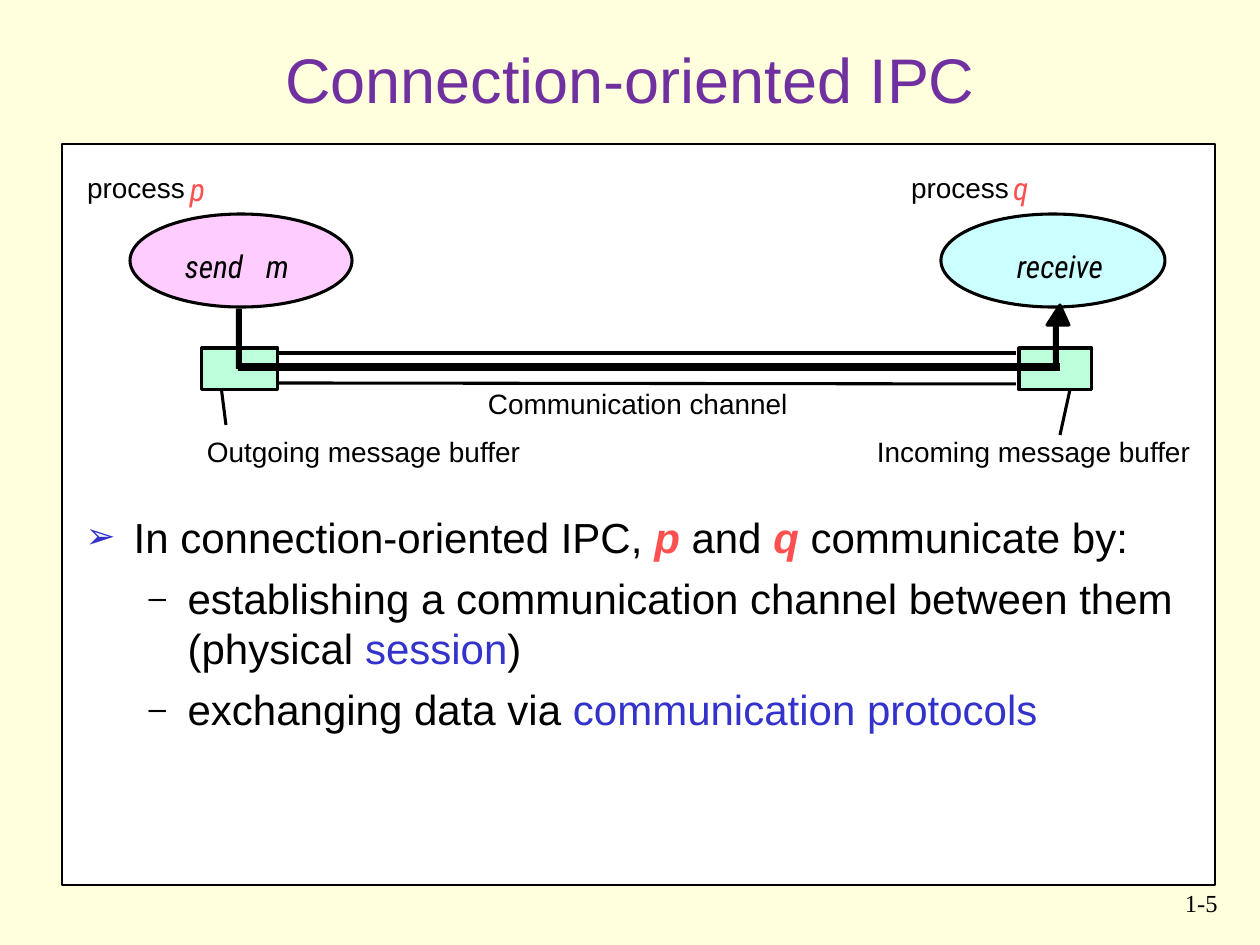
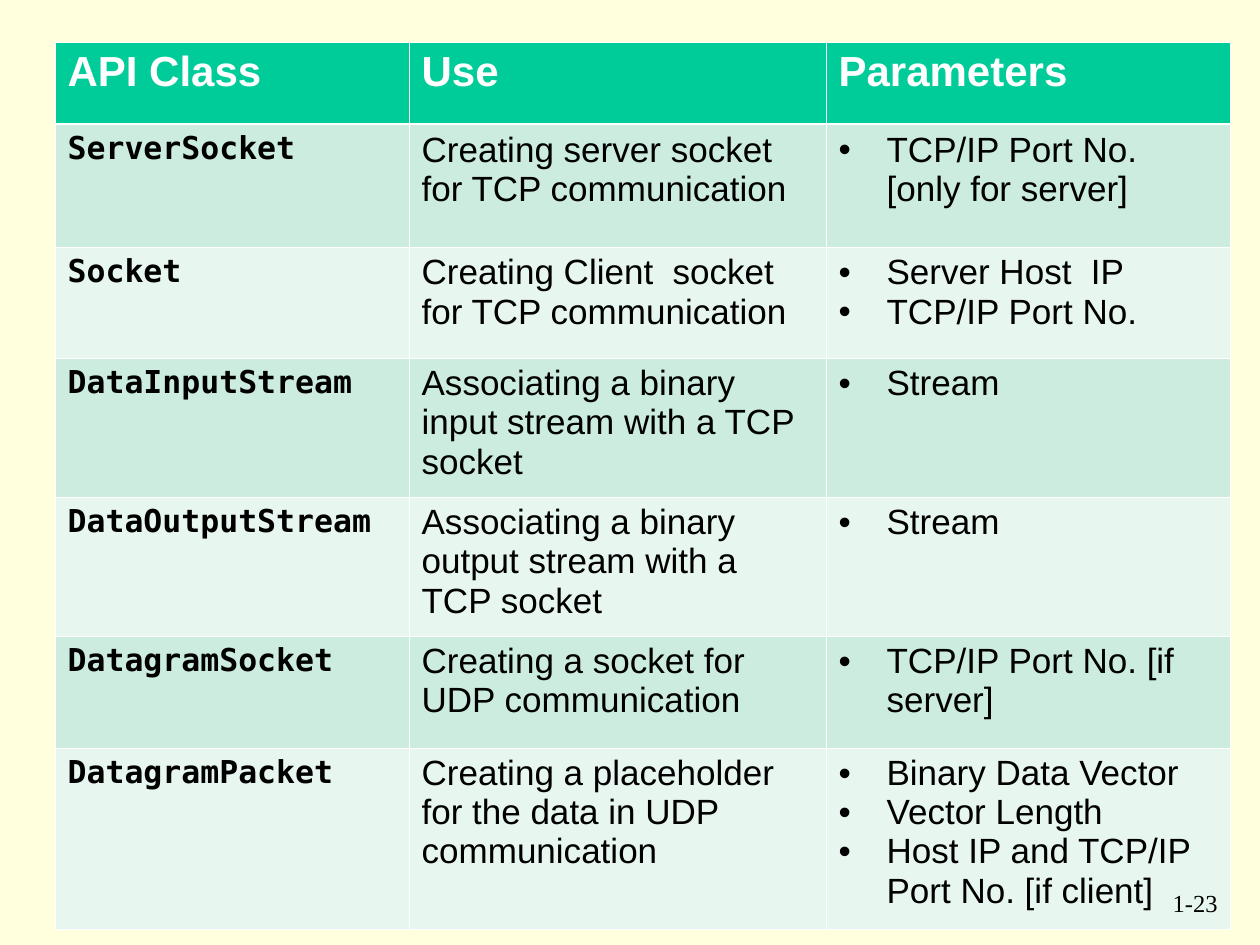
from lxml import etree
from pptx import Presentation
from pptx.dml.color import RGBColor
from pptx.enum.shapes import MSO_CONNECTOR, MSO_SHAPE
from pptx.enum.text import MSO_ANCHOR, MSO_AUTO_SIZE, PP_ALIGN
from pptx.oxml.ns import qn
from pptx.util import Emu, Pt

RECT, OVAL = MSO_SHAPE.RECTANGLE, MSO_SHAPE.OVAL
STRAIGHT = MSO_CONNECTOR.STRAIGHT
CENTER, RIGHT = PP_ALIGN.CENTER, PP_ALIGN.RIGHT
TOP, MIDDLE = MSO_ANCHOR.TOP, MSO_ANCHOR.MIDDLE
FIXED = MSO_AUTO_SIZE.NONE

# Shared style
SANS, ITALIC_FONT, MONO, SERIF = "Arial", "Roboto Condensed", "DejaVu Sans Mono", "Times New Roman"
BACK, WHITE, BLACK = "FFFFDD", "FFFFFF", "000000"
PURPLE, RED, BLUE = "7030A0", "FF5050", "3333CC"
PINK, CYAN, MINT = "FFCCFF", "CCFFFF", "BDFFDB"
HEADER, BANDS = "00CC99", ("CBECDE", "E7F6EF")
PX_PER_INCH = 126
PAGE_BOX = (1144, 882, 86, 63)

# Slide 1 content: lengths in px
TITLE = "Connection-oriented IPC"
TITLE_BOX, BODY_BOX, PANEL = (0, 0, 1260, 156), (73, 505, 1126, 347), (62, 144, 1153, 741)
PROCESSES = [((941, 214, 224, 93), CYAN), ((130, 214, 222, 93), PINK)]
BUFFERS = [(1019, 348, 73, 42), (202, 348, 76, 42)]
CHANNEL_LINES = [(276, 353, 1016, 353), (276, 383, 1016, 384)]
POINTERS = [(226, 425, 219, 370), (1060, 435, 1075, 367)]
MESSAGE_ROUTE = [(236, 309, 6, 60), (238, 363, 822, 8), (1053, 323, 6, 45)]
ARROWHEAD = [(1060, 325), (1047, 325), (1060, 305), (1069, 325)]
LABELS = [
    ("process", 87, 171, 106), ("process", 911, 171, 106),
    ("Communication channel", 488, 387, 300),
    ("Outgoing message buffer", 207, 435, 314),
    ("Incoming message buffer", 877, 435, 314),
]
ITALIC_LABELS = [
    ("p", 190, 170, 19, RED), ("q", 1013, 169, 19, RED),
    ("send", 185, 247, 66, BLACK), ("m", 266, 247, 28, BLACK),
    ("receive", 1017, 247, 97, BLACK),
]
VARIABLE, TERM = {"color": RED, "bold": True, "italic": True}, {"color": BLUE}
BODY = [
    (0, [("In connection-oriented IPC, ", {}), ("p", VARIABLE), (" and ", {}),
         ("q", VARIABLE), (" communicate by:", {})]),
    (1, [("establishing a communication channel between them (physical ", {}),
         ("session", TERM), (")", {})]),
    (1, [("exchanging data via ", {}), ("communication protocols", TERM)]),
]
# Per level: left margin, hanging indent, bullet, colour, size in percent
BODY_LEVELS = [(48, 48, "➢", BLUE, 85), (102, 39, "–", BLACK, 75)]

# Slide 2 content
TABLE_AT = (55, 42)
COLUMNS = [354, 417, 404]
ROW_HEIGHTS = [82, 123, 111, 139, 139, 112, 181]
HEADINGS = ["API Class", "Use", "Parameters"]
API = [
    ("ServerSocket", "Creating server socket for TCP communication",
     ["TCP/IP Port No. [only for server]"]),
    ("Socket", "Creating Client  socket for TCP communication",
     ["Server Host  IP", "TCP/IP Port No."]),
    ("DataInputStream", "Associating a binary input stream with a TCP socket", ["Stream"]),
    ("DataOutputStream", "Associating a binary output stream with a TCP socket", ["Stream"]),
    ("DatagramSocket", "Creating a socket for UDP communication",
     ["TCP/IP Port No. [if server]"]),
    ("DatagramPacket", "Creating a placeholder for the data in UDP communication",
     ["Binary Data Vector", "Vector Length", "Host IP and TCP/IP Port No. [if client]"]),
]


# Helpers
def px(n):
    return Emu(round(n * 914400 / PX_PER_INCH))


def rgb(value):
    return RGBColor.from_string(value)


def style(run, size, font=SANS, color=BLACK, bold=False, italic=False):
    f = run.font
    f.size, f.name, f.bold, f.italic = Pt(size), font, bold, italic
    f.color.rgb = rgb(color)


def style_paragraph(p, size, **look):
    for r in p.runs:
        style(r, size, **look)


def bullet(p, margin, hanging, char, color=BLACK, percent=100):
    pPr = p._p.get_or_add_pPr()
    pPr.set("marL", str(px(margin)))
    pPr.set("indent", str(-px(hanging)))
    clr = etree.SubElement(pPr, qn("a:buClr"))
    etree.SubElement(clr, qn("a:srgbClr"), val=color)
    etree.SubElement(pPr, qn("a:buSzPct"), val=str(percent * 1000))
    etree.SubElement(pPr, qn("a:buFont"), typeface=SANS)
    etree.SubElement(pPr, qn("a:buChar"), char=char)


def place(sp, box):
    sp.left, sp.top, sp.width, sp.height = map(px, box)


def add_text(slide, text, box, size, align=None, inset=True, **look):
    tf = slide.shapes.add_textbox(*map(px, box)).text_frame
    tf.word_wrap = inset
    if not inset:
        tf.margin_left = tf.margin_right = tf.margin_top = tf.margin_bottom = 0
    p = tf.paragraphs[0]
    p.text = text
    p.alignment = align
    style_paragraph(p, size, **look)


def paint(sp, fill, line_width=0):
    sp.shadow.inherit = False
    sp.fill.solid()
    sp.fill.fore_color.rgb = rgb(fill)
    if line_width:
        sp.line.color.rgb = rgb(BLACK)
        sp.line.width = Pt(line_width)
    else:
        sp.line.fill.background()
    return sp


def add_shape(slide, kind, box, fill, line_width=0):
    return paint(slide.shapes.add_shape(kind, *map(px, box)), fill, line_width)


def add_line(slide, ends):
    cxn = slide.shapes.add_connector(STRAIGHT, *map(px, ends))
    cxn.line.color.rgb = rgb(BLACK)
    cxn.line.width = Pt(1.75)
    etree.SubElement(cxn._element.spPr, qn("a:effectLst"))


def add_page_number(slide, text):
    add_text(slide, text, PAGE_BOX, 14, align=RIGHT, font=SERIF)


def set_borders(cell, widths):
    tcPr = cell._tc.get_or_add_tcPr()
    for i, (side, width) in enumerate(widths.items()):
        ln = etree.Element(qn("a:ln" + side), w=str(Pt(width)))
        fill = etree.SubElement(ln, qn("a:solidFill"))
        etree.SubElement(fill, qn("a:srgbClr"), val=WHITE)
        tcPr.insert(i, ln)


# Slides
def build_ipc(prs):
    slide = prs.slides.add_slide(prs.slide_layouts[1])
    title, body = slide.shapes.title, slide.placeholders[1]

    # The panel lies behind the placeholders
    panel = add_shape(slide, RECT, PANEL, WHITE, 0.75)
    slide.shapes._spTree.insert(2, panel._element)

    # Title and list
    for sp, box, anchor in ((title, TITLE_BOX, MIDDLE), (body, BODY_BOX, TOP)):
        place(sp, box)
        sp.text_frame.auto_size = FIXED
        sp.text_frame.vertical_anchor = anchor
    p = title.text_frame.paragraphs[0]
    p.text = TITLE
    p.alignment = CENTER
    style_paragraph(p, 36, color=PURPLE)
    tf = body.text_frame
    for i, (level, parts) in enumerate(BODY):
        p = tf.add_paragraph() if i else tf.paragraphs[0]
        p.level = level
        p.space_before = Pt(6)
        bullet(p, *BODY_LEVELS[level])
        for text, look in parts:
            r = p.add_run()
            r.text = text
            style(r, 24, **look)

    # Diagram
    for box, fill in PROCESSES:
        add_shape(slide, OVAL, box, fill, 1.75)
    for ends in CHANNEL_LINES + POINTERS:
        add_line(slide, ends)
    for box in BUFFERS:
        add_shape(slide, RECT, box, MINT, 1.75)
    for text, x, y, w in LABELS:
        add_text(slide, text, (x, y, w, 34), 16, inset=False)
    for text, x, y, w, color in ITALIC_LABELS:
        add_text(slide, text, (x, y, w, 38), 18, inset=False,
                 font=ITALIC_FONT, color=color, italic=True)

    # Route of the message, ending in an arrowhead
    for box in MESSAGE_ROUTE:
        add_shape(slide, RECT, box, BLACK)
    points = [(px(x), px(y)) for x, y in ARROWHEAD]
    builder = slide.shapes.build_freeform(*points[0])
    builder.add_line_segments(points[1:], close=True)
    paint(builder.convert_to_shape(), BLACK, 1.75)
    add_page_number(slide, "1-5")


def build_api_table(prs):
    slide = prs.slides.add_slide(prs.slide_layouts[6])
    size = (sum(COLUMNS), sum(ROW_HEIGHTS))
    table = slide.shapes.add_table(len(ROW_HEIGHTS), len(COLUMNS),
                                   *map(px, TABLE_AT + size)).table
    for col, width in zip(table.columns, COLUMNS):
        col.width = px(width)
    for row, height in zip(table.rows, ROW_HEIGHTS):
        row.height = px(height)

    looks = [{"size": 18, "font": MONO, "bold": True}, {"size": 20}, {"size": 20}]
    for i, values in enumerate([HEADINGS] + API):
        for j, value in enumerate(values):
            cell = table.cell(i, j)
            cell.fill.solid()
            cell.fill.fore_color.rgb = rgb(BANDS[(i - 1) % 2] if i else HEADER)
            set_borders(cell, {"L": 0.45, "R": 0.45, "T": 1.47 if i == 1 else 0.45,
                               "B": 0.45 if i else 1.47})
            is_list = isinstance(value, list)
            cell.text_frame.text = "\n".join(value) if is_list else value
            for p in cell.text_frame.paragraphs:
                if i == 0:
                    p.space_before = p.space_after = Pt(3)
                    style_paragraph(p, 24, color=WHITE, bold=True)
                    continue
                style_paragraph(p, **looks[j])
                if is_list:
                    bullet(p, 48, 48, "•")
    add_page_number(slide, "1-23")


def main():
    prs = Presentation()
    prs.slide_width, prs.slide_height = px(1260), px(945)
    background = prs.slide_master.background.fill
    background.solid()
    background.fore_color.rgb = rgb(BACK)
    build_ipc(prs)
    build_api_table(prs)
    prs.save("out.pptx")


if __name__ == "__main__":
    main()
